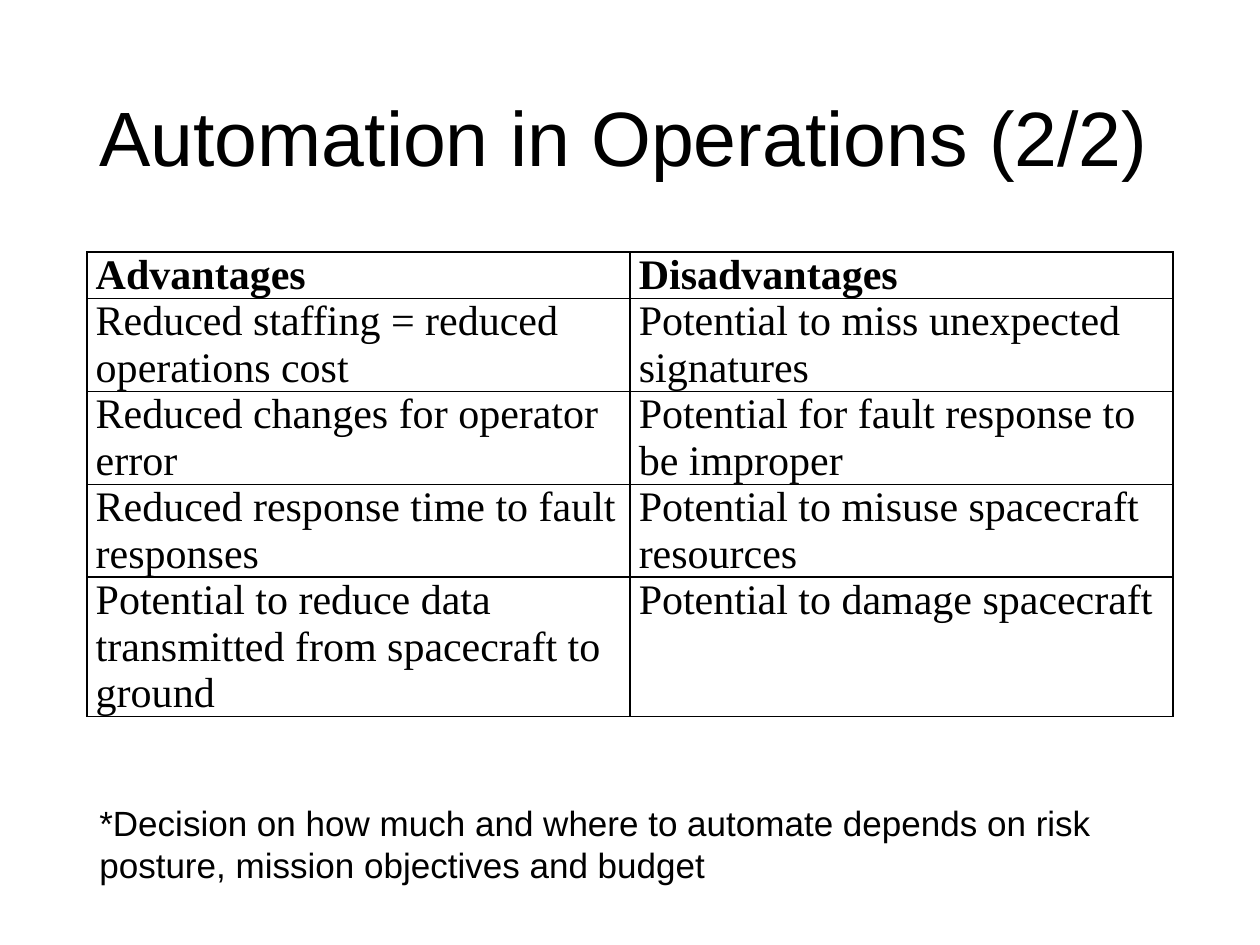
from lxml.etree import SubElement
from pptx import Presentation
from pptx.dml.color import RGBColor
from pptx.enum.text import MSO_ANCHOR, PP_ALIGN
from pptx.oxml.ns import qn
from pptx.util import Inches, Pt

# Content
TITLE = "Automation in Operations (2/2)"
COMPARISON = [
    ("Advantages", "Disadvantages"),
    ("Reduced staffing = reduced operations cost",
     "Potential to miss unexpected signatures"),
    ("Reduced changes for operator error",
     "Potential for fault response to be improper"),
    ("Reduced response time to fault responses",
     "Potential to misuse spacecraft resources"),
    ("Potential to reduce data transmitted from spacecraft to ground",
     "Potential to damage spacecraft"),
]
FOOTNOTE = ("*Decision on how much and where to automate depends on risk "
            "posture, mission objectives and budget")

THEME = {
    "ink": "000000", "paper": "FFFFFF", "border": Pt(1),
    "title": ("Arial", 44), "table": ("Times New Roman", 24), "footnote": ("Arial", 20),
}
LEFT, WIDTH = 0.69, 8.62
LINE_HEIGHT = 0.36
CELL_INSET = 0.07


def style(paragraph, role, bold=False):
    family, size = THEME[role]
    paragraph.alignment = PP_ALIGN.LEFT
    for run in paragraph.runs:
        run.font.name, run.font.size, run.font.bold = family, Pt(size), bold
        run.font.color.rgb = RGBColor.from_string(THEME["ink"])


def add_borders(cell):
    properties = cell._tc.get_or_add_tcPr()
    for side in ("lnL", "lnR", "lnT", "lnB"):
        line = SubElement(properties, qn(f"a:{side}"), w=str(THEME["border"]))
        fill = SubElement(line, qn("a:solidFill"))
        SubElement(fill, qn("a:srgbClr"), val=THEME["ink"])


def fill_cell(cell, text, bold):
    cell.margin_left = cell.margin_right = Inches(CELL_INSET)
    cell.margin_top = cell.margin_bottom = 0
    cell.vertical_anchor = MSO_ANCHOR.TOP
    add_borders(cell)
    cell.fill.background()
    cell.text_frame.text = text
    style(cell.text_frame.paragraphs[0], "table", bold)


def main():
    deck = Presentation()
    deck.slide_width, deck.slide_height = Inches(10), Inches(7.5)
    slide = deck.slides.add_slide(deck.slide_layouts[5])
    slide.background.fill.solid()
    slide.background.fill.fore_color.rgb = RGBColor.from_string(THEME["paper"])

    # Title
    title = slide.shapes.title
    title.left, title.top = Inches(LEFT), Inches(0.4)
    title.width, title.height = Inches(WIDTH), Inches(1.45)
    title.text_frame.text = TITLE
    title.text_frame.vertical_anchor = MSO_ANCHOR.MIDDLE
    title.text_frame.paragraphs[0].line_spacing = 0.9
    style(title.text_frame.paragraphs[0], "title")

    # Comparison table: one line for the header, two for each point
    line_counts = [1] + [2] * (len(COMPARISON) - 1)
    columns = len(COMPARISON[0])
    table = slide.shapes.add_table(
        len(COMPARISON), columns, Inches(LEFT), Inches(2),
        Inches(WIDTH), Inches(LINE_HEIGHT * sum(line_counts))).table
    table.horz_banding = False
    for column in table.columns:
        column.width = Inches(WIDTH / columns)
    for r, (row, points) in enumerate(zip(table.rows, COMPARISON)):
        row.height = Inches(LINE_HEIGHT * line_counts[r])
        for cell, point in zip(row.cells, points):
            fill_cell(cell, point, bold=r == 0)

    # Footnote
    footnote = slide.shapes.add_textbox(
        Inches(LEFT), Inches(6.31), Inches(8.53), Inches(1.08)).text_frame
    footnote.word_wrap = True
    footnote.text = FOOTNOTE
    style(footnote.paragraphs[0], "footnote")

    deck.save("out.pptx")


if __name__ == "__main__":
    main()
